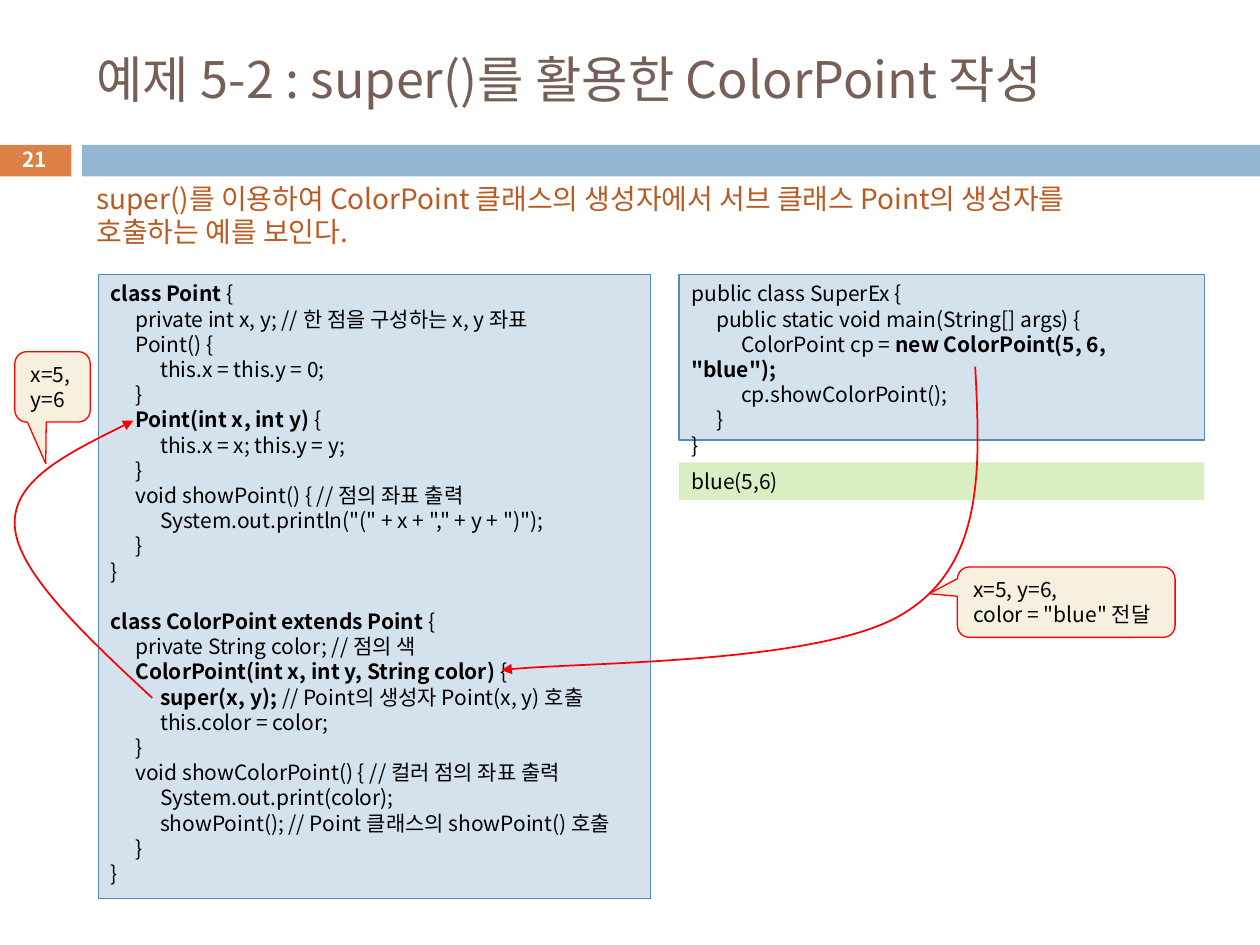
from dataclasses import dataclass
from typing import Optional

from lxml import etree
from pptx import Presentation
from pptx.dml.color import RGBColor
from pptx.enum.shapes import MSO_SHAPE
from pptx.enum.text import MSO_ANCHOR, PP_ALIGN
from pptx.oxml.ns import qn
from pptx.util import Cm, Pt

RECT = MSO_SHAPE.RECTANGLE
CALLOUT = MSO_SHAPE.ROUNDED_RECTANGULAR_CALLOUT
TOP, MIDDLE = MSO_ANCHOR.TOP, MSO_ANCHOR.MIDDLE
LEFT, CENTER = PP_ALIGN.LEFT, PP_ALIGN.CENTER

FONT = "Noto Sans CJK KR"
BLACK = RGBColor(0x00, 0x00, 0x00)
WHITE = RGBColor(0xFF, 0xFF, 0xFF)
RED = RGBColor(0xFF, 0x00, 0x00)
ORANGE = RGBColor(0xDD, 0x80, 0x47)
RUST = RGBColor(0xB9, 0x5B, 0x22)
BROWN = RGBColor(0x77, 0x5F, 0x55)
BAR_BLUE = RGBColor(0x94, 0xB6, 0xD2)
CODE_BLUE = RGBColor(0xD4, 0xE2, 0xED)
EDGE_BLUE = RGBColor(0x55, 0x8B, 0xB8)
CREAM = RGBColor(0xF7, 0xF0, 0xDE)
GREEN = RGBColor(0xDA, 0xEE, 0xC4)

LINE_PITCH = 1.2  # line height as a multiple of the text size
TAB = Cm(0.5)

# Code listings: ** switches bold, four spaces are one tab,
# an empty line becomes space before the next paragraph
CLASSES = '''**class Point **{
    private int x, y; // 한 점을 구성하는 x, y 좌표
    Point() {
        this.x = this.y = 0;
    }
    **Point(int x, int y) **{
        this.x = x; this.y = y;
    }
    void showPoint() { // 점의 좌표 출력
        System.out.println("(" + x + "," + y + ")");
    }
}

**class ColorPoint extends Point **{
    private String color; // 점의 색
    **ColorPoint(int x, int y, String color) **{
        **super(x, y); **// Point의 생성자 Point(x, y) 호출
        this.color = color;
    }
    void showColorPoint() { // 컬러 점의 좌표 출력
        System.out.print(color);
        showPoint(); // Point 클래스의 showPoint() 호출
    }
}'''

MAIN = '''public class SuperEx {
    public static void main(String[] args) {
        ColorPoint cp = **new ColorPoint(5, 6, "blue");**
        cp.showColorPoint();
    }
}'''


@dataclass
class Box:
    at: tuple  # left, top, width, height in cm
    fill: RGBColor
    text: str = ""
    line: Optional[RGBColor] = None
    kind: int = RECT
    adj: tuple = ()


BARS = [
    Box((-0.03, 2.92, 1.47, 0.64), ORANGE),
    Box((1.65, 2.92, 23.75, 0.64), BAR_BLUE),
]
PANELS = [
    Box((1.98, 5.54, 11.13, 12.57), CODE_BLUE, CLASSES, EDGE_BLUE),
    Box((13.69, 5.54, 10.59, 3.33), CODE_BLUE, MAIN, EDGE_BLUE),
    Box((13.69, 9.32, 10.59, 0.76), GREEN, "blue(5,6)"),
]
CALLOUTS = [
    Box((19.3, 11.43, 4.39, 1.42), CREAM, 'x=5, y=6,\ncolor = "blue" 전달',
        RED, CALLOUT, (-0.63, -0.12, 0.17)),
    Box((0.3, 7.09, 1.52, 1.42), CREAM, "x=5,\ny=6",
        RED, CALLOUT, (-0.09, 1.09, 0.17)),
]
# Start point, then two control points and an end point per curve
SUPER_CALL = [(3.07, 14.07), (1.7, 12.8), (0.36, 11.53), (0.3, 10.62),
              (0.23, 9.68), (1.47, 9.09), (2.69, 8.48)]
NEW_CALL = [(19.66, 7.39), (19.76, 9.37), (19.86, 11.33), (18.26, 12.34),
            (16.66, 13.39), (11.46, 13.34), (10.11, 13.51)]


def write(sp, text: str, *, size: float = 12, color: RGBColor = BLACK,
          bold: bool = False, align=LEFT, anchor=TOP) -> None:
    """Fill a shape with formatted paragraphs."""
    tf = sp.text_frame
    tf.word_wrap = True
    tf.vertical_anchor = anchor
    pitch = Pt(size * LINE_PITCH)
    p, gap = None, False
    for row in text.split("\n"):
        if not row:
            gap = True
            continue
        p = tf.add_paragraph() if p is not None else tf.paragraphs[0]
        p.alignment = align
        p.line_spacing = pitch
        if gap:
            p.space_before = pitch
            gap = False
        if row.startswith(" "):
            tabs = etree.SubElement(p._p.get_or_add_pPr(), qn("a:tabLst"))
            for n in (1, 2):
                etree.SubElement(tabs, qn("a:tab"), pos=str(TAB * n), algn="l")
        for i, part in enumerate(row.replace("    ", "\t").split("**")):
            if not part:
                continue
            r = p.add_run()
            r.text = part
            r.font.name = FONT
            r.font.size = Pt(size)
            r.font.bold = bold or i % 2 == 1
            r.font.color.rgb = color
            etree.SubElement(r._r.get_or_add_rPr(), qn("a:ea"), typeface=FONT)


def add_text(slide, at: tuple, text: str, **fmt) -> None:
    write(slide.shapes.add_textbox(*map(Cm, at)), text, **fmt)


def add_box(slide, box: Box) -> None:
    sp = slide.shapes.add_shape(box.kind, *map(Cm, box.at))
    sp.shadow.inherit = False
    for i, value in enumerate(box.adj):
        sp.adjustments[i] = value
    sp.fill.solid()
    sp.fill.fore_color.rgb = box.fill
    if box.line is None:
        sp.line.fill.background()
    else:
        sp.line.color.rgb = box.line
        sp.line.width = Pt(0.75)
    if box.text:
        write(sp, box.text)


def add_curved_arrow(slide, points: list) -> None:
    """Draw joined Bezier curves ending in an arrowhead."""
    start, *rest = [(Cm(x), Cm(y)) for x, y in points]
    fb = slide.shapes.build_freeform(*start)
    fb.add_line_segments(rest, close=False)
    sp = fb.convert_to_shape()
    sp.shadow.inherit = False
    sp.fill.background()
    sp.line.color.rgb = RED
    sp.line.width = Pt(1)
    etree.SubElement(sp.line._get_or_add_ln(), qn("a:tailEnd"), type="triangle")
    # Regroup every three line segments as one cubic curve
    segments = list(sp._element.iter(qn("a:lnTo")))
    outline = segments[0].getparent()
    for i in range(0, len(segments), 3):
        curve = etree.SubElement(outline, qn("a:cubicBezTo"))
        for segment in segments[i:i + 3]:
            curve.append(segment[0])
            outline.remove(segment)


def main() -> None:
    prs = Presentation()
    prs.slide_width, prs.slide_height = Cm(25.4), Cm(19.05)
    slide = prs.slides.add_slide(prs.slide_layouts[6])

    # Header
    for bar in BARS:
        add_box(slide, bar)
    add_text(slide, (1.7, 0.64, 22.66, 1.88),
             "예제 5-2 : super()를 활용한 ColorPoint 작성",
             size=28.8, color=BROWN, anchor=MIDDLE)
    add_text(slide, (-0.03, 2.87, 1.47, 0.69), "21", size=11.9, color=WHITE,
             bold=True, align=CENTER, anchor=MIDDLE)
    add_text(slide, (1.7, 3.53, 21.21, 1.63),
             "super()를 이용하여 ColorPoint 클래스의 생성자에서 "
             "서브 클래스 Point의 생성자를 호출하는 예를 보인다.",
             size=16, color=RUST)

    # Code, output and call flow
    for box in PANELS + CALLOUTS:
        add_box(slide, box)
    for points in (SUPER_CALL, NEW_CALL):
        add_curved_arrow(slide, points)

    prs.save("out.pptx")


if __name__ == "__main__":
    main()
